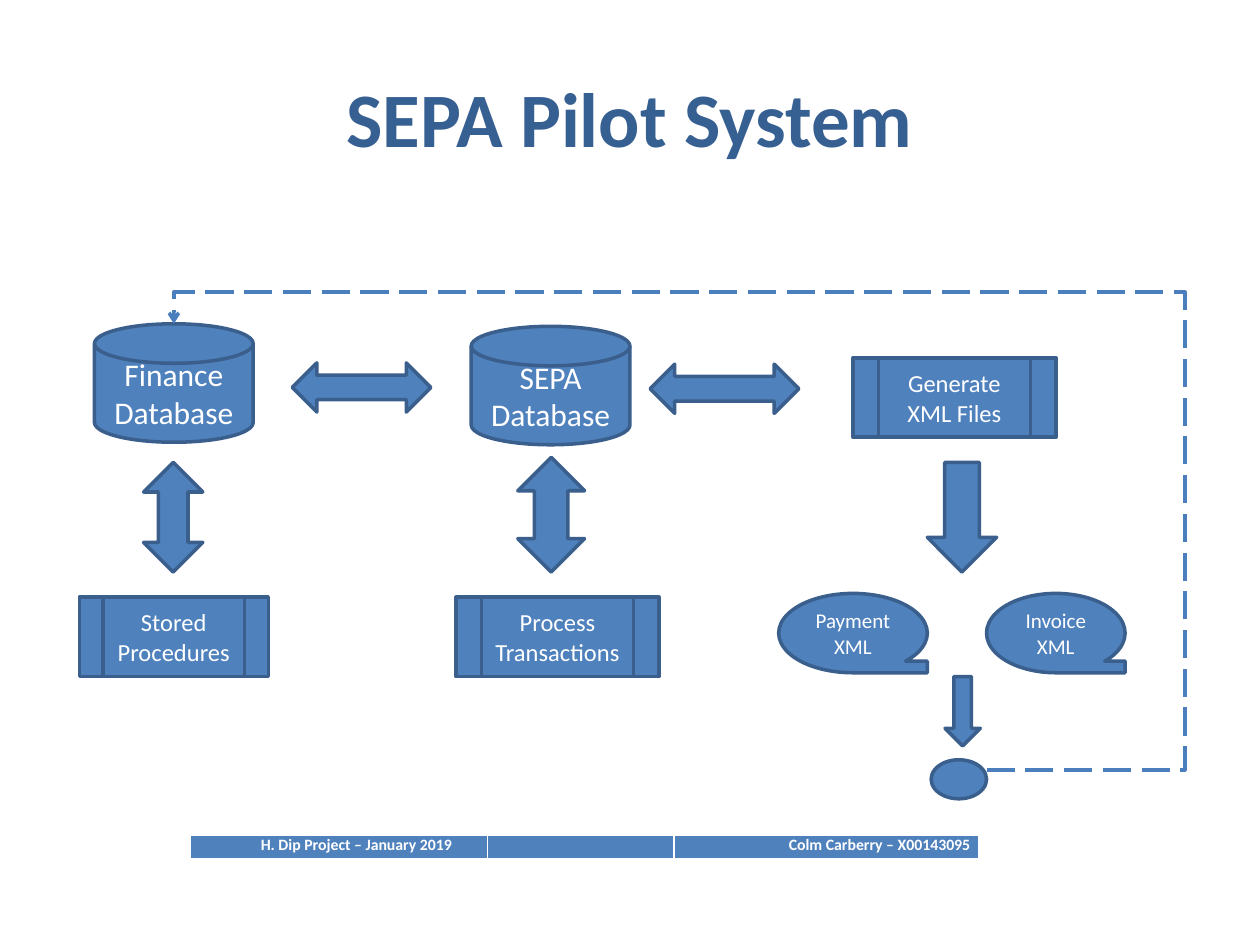
"""Build the SEPA pilot system flow slide."""
import lxml.etree
import pptx
import pptx.dml.color
import pptx.enum.dml
import pptx.enum.shapes
import pptx.enum.text
import pptx.oxml
import pptx.oxml.ns
import pptx.util

Inches, Pt = pptx.util.Inches, pptx.util.Pt
SHAPE = pptx.enum.shapes.MSO_SHAPE
ALIGN = pptx.enum.text.PP_ALIGN
MIDDLE = pptx.enum.text.MSO_ANCHOR.MIDDLE
RGB = pptx.dml.color.RGBColor.from_string
qn = pptx.oxml.ns.qn

THEME = {
    "font": "Calibri",
    "title": RGB("376092"), "fill": RGB("4F81BD"), "outline": RGB("3A5F8C"),
    "feedback": RGB("4B7EBC"), "text": RGB("FFFFFF"), "border": "FFFFFF",
    "title_size": 44, "database_size": 18, "process_size": 14, "file_size": 12, "footer_size": 9,
    "line": Pt(2),
}


def style(paragraph, size, color, align, bold=False):
    """Set the font and alignment of a paragraph."""
    paragraph.alignment = align
    font = paragraph.font
    font.name, font.size, font.bold = THEME["font"], Pt(size), bold
    font.color.rgb = color


def add_node(kind, box, lines=(), size=THEME["process_size"]):
    """Add a flow shape with one paragraph per line."""
    node = slide.shapes.add_shape(kind, *map(Inches, box))
    node.shadow.inherit = False
    node.fill.solid()
    node.fill.fore_color.rgb = THEME["fill"]
    node.line.color.rgb = THEME["outline"]
    node.line.width = THEME["line"]
    frame = node.text_frame
    frame.word_wrap = True
    frame.vertical_anchor = MIDDLE
    frame.margin_left = frame.margin_right = 0
    for index, line in enumerate(lines):
        paragraph = frame.add_paragraph() if index else frame.paragraphs[0]
        paragraph.text = line
        style(paragraph, size, THEME["text"], ALIGN.CENTER)


presentation = pptx.Presentation()
presentation.slide_width, presentation.slide_height = Inches(10), Inches(7.5)
slide = presentation.slides.add_slide(presentation.slide_layouts[6])

heading = slide.shapes.add_textbox(Inches(0.5), Inches(0.3), Inches(9), Inches(1.25)).text_frame
heading.word_wrap = True
heading.vertical_anchor = MIDDLE
heading.text = "SEPA Pilot System"
style(heading.paragraphs[0], THEME["title_size"], THEME["title"], ALIGN.CENTER, True)

for left, top, name in ((0.75, 2.57, "Finance"), (3.74, 2.59, "SEPA")):
    add_node(SHAPE.FLOWCHART_MAGNETIC_DISK, (left, top, 1.26, 0.94),
             (name, "Database"), THEME["database_size"])

for left, top, width, lines in (
    (0.63, 4.74, 1.5, ("Stored", "Procedures")),
    (3.62, 4.74, 1.61, ("Process", "Transactions")),
    (6.77, 2.84, 1.61, ("Generate", "XML Files")),
):
    add_node(SHAPE.FLOWCHART_PREDEFINED_PROCESS, (left, top, width, 0.63), lines)

for left, width, name in ((6.18, 1.18, "Payment"), (7.83, 1.1, "Invoice")):
    add_node(SHAPE.FLOWCHART_SEQUENTIAL_ACCESS_STORAGE, (left, 4.71, width, 0.63),
             (name, "XML"), THEME["file_size"])

for kind, box in (
    (SHAPE.UP_DOWN_ARROW, (1.14, 3.67, 0.47, 0.87)),
    (SHAPE.UP_DOWN_ARROW, (4.11, 3.63, 0.53, 0.91)),
    (SHAPE.LEFT_RIGHT_ARROW, (2.32, 2.88, 1.1, 0.39)),
    (SHAPE.LEFT_RIGHT_ARROW, (5.16, 2.89, 1.18, 0.39)),
    (SHAPE.DOWN_ARROW, (7.36, 3.67, 0.55, 0.87)),
    (SHAPE.DOWN_ARROW, (7.5, 5.37, 0.28, 0.55)),
    (SHAPE.OVAL, (7.39, 6.03, 0.44, 0.31)),
):
    add_node(kind, box)

feedback = slide.shapes.add_connector(
    pptx.enum.shapes.MSO_CONNECTOR.ELBOW, Inches(1.38), Inches(2.57), Inches(7.83), Inches(6.11))
feedback.line.color.rgb = THEME["feedback"]
feedback.line.width = THEME["line"]
feedback.line.dash_style = pptx.enum.dml.MSO_LINE.LONG_DASH
properties = feedback.element.spPr
properties.find(qn("a:xfrm")).set("rot", str(180 * 60000))
geometry = properties.find(qn("a:prstGeom"))
geometry.set("prst", "bentConnector4")
guides = geometry.get_or_add_avLst()
for name, value in (("adj1", -24400), ("adj2", 107100)):
    lxml.etree.SubElement(guides, qn("a:gd"), name=name, fmla=f"val {value}")
lxml.etree.SubElement(properties.find(qn("a:ln")), qn("a:tailEnd"), type="arrow")
lxml.etree.SubElement(properties, qn("a:effectLst"))

footer = slide.shapes.add_table(
    1, 3, Inches(1.51), Inches(6.63), Inches(6.26), Inches(0.2)).table
footer_cells = (
    (2.36, "H. Dip Project – January 2019", ALIGN.JUSTIFY),
    (1.48, "", ALIGN.LEFT),
    (2.42, "Colm Carberry – X00143095", ALIGN.RIGHT),
)
for column, (width, words, align) in enumerate(footer_cells):
    footer.columns[column].width = Inches(width)
    cell = footer.cell(0, column)
    cell.margin_left = cell.margin_right = Inches(0.07)
    cell.margin_top = cell.margin_bottom = 0
    cell.text = words
    paragraph = cell.text_frame.paragraphs[0]
    style(paragraph, THEME["footer_size"], THEME["text"], align, True)
    indents = paragraph._p.get_or_add_pPr()
    indents.set("marL", str(Inches(0.74)))
    indents.set("indent", str(Inches(-0.25)))
    borders = cell._tc.get_or_add_tcPr()
    for side, points in (("L", 1), ("R", 1), ("T", 1), ("B", 3)):
        edge = lxml.etree.SubElement(borders, qn(f"a:ln{side}"), w=str(Pt(points)))
        paint = lxml.etree.SubElement(edge, qn("a:solidFill"))
        lxml.etree.SubElement(paint, qn("a:srgbClr"), val=THEME["border"])
    cell.fill.solid()
    cell.fill.fore_color.rgb = THEME["fill"]

presentation.save("out.pptx")
